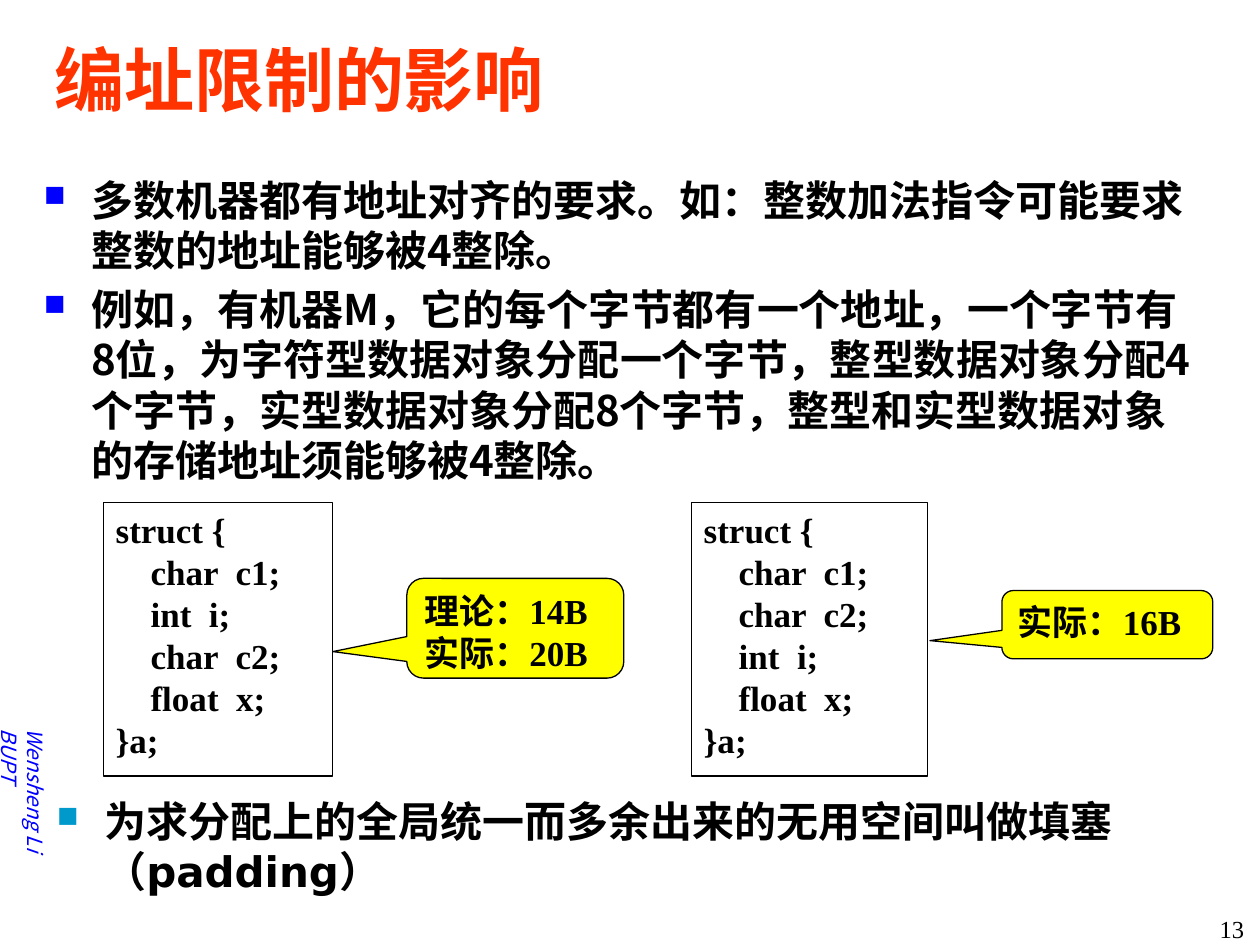
from lxml import etree
from pptx import Presentation
from pptx.dml.color import RGBColor
from pptx.enum.shapes import MSO_SHAPE
from pptx.enum.text import MSO_ANCHOR, PP_ALIGN
from pptx.oxml.ns import qn
from pptx.util import Pt

RECT = MSO_SHAPE.RECTANGLE
CALLOUT = MSO_SHAPE.ROUNDED_RECTANGULAR_CALLOUT
TOP, MIDDLE = MSO_ANCHOR.TOP, MSO_ANCHOR.MIDDLE
LEFT, RIGHT = PP_ALIGN.LEFT, PP_ALIGN.RIGHT

CJK, SERIF, SANS = "Noto Sans CJK SC", "Times New Roman", "DejaVu Sans"
BLACK, WHITE, YELLOW = "000000", "FFFFFF", "FFFF00"
BLUE, CYAN, ORANGE = "0000FF", "0099CC", "FF3300"

TITLE = "编址限制的影响"
AUTHOR = "Wensheng Li\tBUPT"
PAGE = "13"
# Each paragraph is a list of (text, font) runs.
REQUIREMENTS = [
    [("多数机器都有地址对齐的要求。如：整数加法指令可能要求整数的地址能够被4整除。", CJK)],
    [("例如，有机器M，它的每个字节都有一个地址，一个字节有8位，为字符型数据对象分配一个字节，"
      "整型数据对象分配4个字节，实型数据对象分配8个字节，整型和实型数据对象的存储地址须能够被4整除。", CJK)],
]
PADDING = [
    [("为求分配上的全局统一而多余出来的无用空间叫做填塞（", CJK), ("padding", SANS), ("）", CJK)],
]
# Struct members with the box (left, width), then sizes with the callout box.
STRUCTS = [
    (["char  c1;", "int  i;", "char  c2;", "float  x;"], (59, 131),
     ["理论：14B", "实际：20B"], (232.5, 330.5, 124, 57)),
    (["char  c1;", "char  c2;", "int  i;", "float  x;"], (395, 135),
     ["实际：16B"], (572.5, 337.5, 120.5, 39)),
]
STRUCT_TOP, STRUCT_HEIGHT = 287, 156.5
CALLOUT_SHAPE = (-0.841, 0.234, 0.167)
BULLET_INDENT = 27


def color(hex_code):
    return RGBColor.from_string(hex_code)


def add_run(paragraph, text, font, size, ink, bold=True, italic=False):
    run = paragraph.add_run()
    run.text = text
    run.font.name = font
    run.font.size = Pt(size)
    run.font.bold = bold
    run.font.italic = italic
    run.font.color.rgb = color(ink)
    east_asian = etree.SubElement(run._r.get_or_add_rPr(), qn("a:ea"))
    east_asian.set("typeface", CJK)


def add_bullet(paragraph, ink):
    properties = paragraph._p.get_or_add_pPr()
    properties.set("marL", str(Pt(BULLET_INDENT)))
    properties.set("indent", str(-Pt(BULLET_INDENT)))
    bullet_color = etree.SubElement(properties, qn("a:buClr"))
    etree.SubElement(bullet_color, qn("a:srgbClr")).set("val", ink)
    etree.SubElement(properties, qn("a:buSzPct")).set("val", "70000")
    etree.SubElement(properties, qn("a:buChar")).set("char", "■")


def fill_text(frame, paragraphs, size, ink, anchor=TOP, align=LEFT, bullet=None, **style):
    frame.word_wrap = True
    frame.vertical_anchor = anchor
    for index, runs in enumerate(paragraphs):
        paragraph = frame.add_paragraph() if index else frame.paragraphs[0]
        paragraph.alignment = align
        if bullet:
            add_bullet(paragraph, bullet)
            if index:
                paragraph.space_before = Pt(0.2 * size)
        for text, font in runs:
            add_run(paragraph, text, font, size, ink, **style)


def add_text(slide, box, paragraphs, size, ink, **options):
    textbox = slide.shapes.add_textbox(*map(Pt, box))
    fill_text(textbox.text_frame, paragraphs, size, ink, **options)
    return textbox


def add_panel(slide, kind, box, fill, lines):
    panel = slide.shapes.add_shape(kind, *map(Pt, box))
    panel.shadow.inherit = False
    panel.fill.solid()
    panel.fill.fore_color.rgb = color(fill)
    panel.line.color.rgb = color(BLACK)
    panel.line.width = Pt(0.75)
    fill_text(panel.text_frame, [[(line, SERIF)] for line in lines], 20, BLACK)
    return panel


def add_author(slide):
    """Vertical signature on the left edge, with a tab between name and school."""
    author = add_text(slide, (-82, 432, 190, 21.5), [[(AUTHOR, CJK)]], 12, BLUE,
                      anchor=MIDDLE, bold=False, italic=True)
    author.rotation = 90
    author.text_frame.margin_left = Pt(68.5)
    properties = author.text_frame.paragraphs[0]._p.get_or_add_pPr()
    tabs = etree.SubElement(properties, qn("a:tabLst"))
    tab = etree.SubElement(tabs, qn("a:tab"))
    tab.set("pos", str(Pt(84)))
    tab.set("algn", "l")


def main():
    deck = Presentation()
    deck.slide_width, deck.slide_height = Pt(720), Pt(540)
    slide = deck.slides.add_slide(deck.slide_layouts[6])

    add_author(slide)
    add_text(slide, (658, 518.5, 60, 21.5), [[(PAGE, SERIF)]], 14, BLACK,
             align=RIGHT, bold=False)
    add_text(slide, (24, 12, 678, 66), [[(TITLE, CJK)]], 40, ORANGE, anchor=MIDDLE)
    add_text(slide, (18, 96, 672, 408), REQUIREMENTS, 24, BLACK, bullet=BLUE)
    add_text(slide, (25.5, 451, 656.5, 67.5), PADDING, 24, BLACK, bullet=CYAN)

    for members, (left, width), sizes, callout_box in STRUCTS:
        code = ["struct {", *("    " + member for member in members), "}a;"]
        add_panel(slide, RECT, (left, STRUCT_TOP, width, STRUCT_HEIGHT), WHITE, code)
        callout = add_panel(slide, CALLOUT, callout_box, YELLOW, sizes)
        for index, value in enumerate(CALLOUT_SHAPE):
            callout.adjustments[index] = value

    deck.save("out.pptx")


if __name__ == "__main__":
    main()
